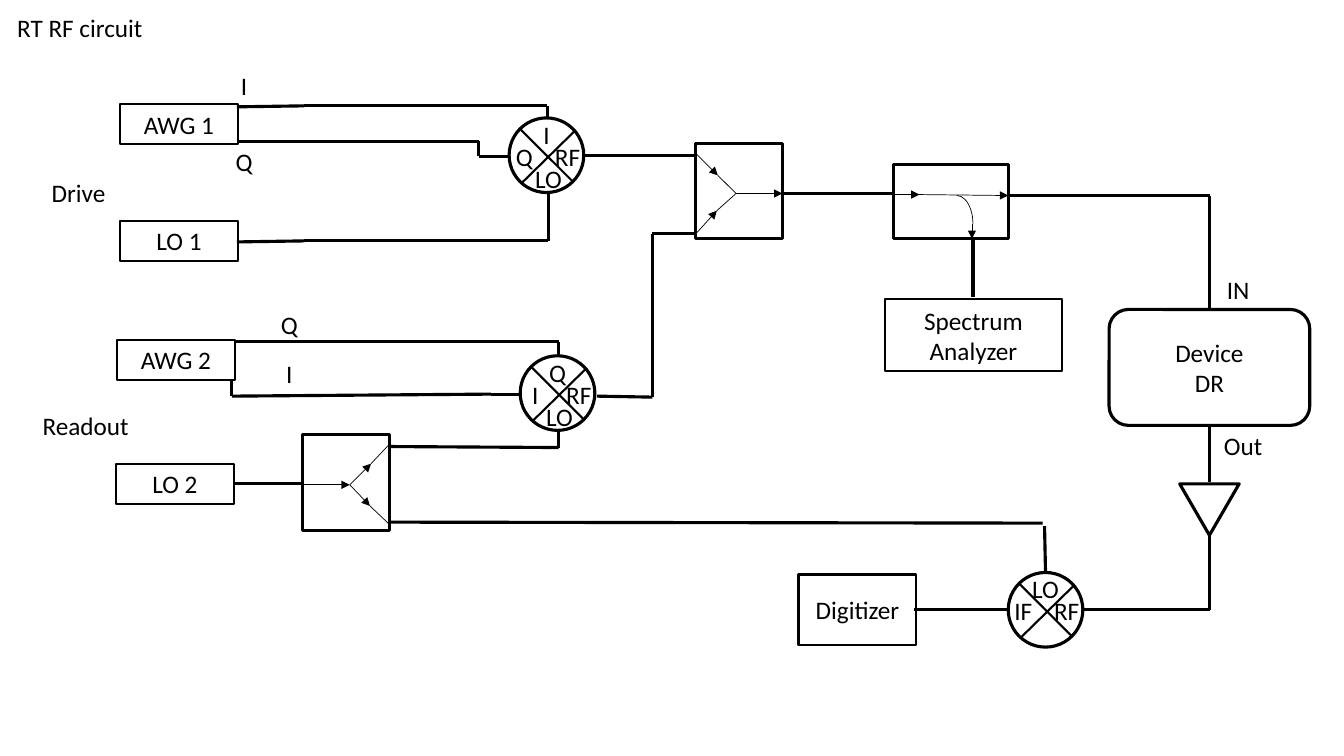
from dataclasses import dataclass
from itertools import pairwise

from lxml.etree import SubElement
from pptx import Presentation
from pptx.dml.color import RGBColor
from pptx.enum.shapes import MSO_CONNECTOR as Connector, MSO_SHAPE as Preset
from pptx.enum.text import MSO_ANCHOR as Anchor, MSO_AUTO_SIZE as AutoSize, PP_ALIGN as Align
from pptx.oxml.ns import qn
from pptx.util import Emu, Pt

PX = 9144  # 100 px to the inch


@dataclass(frozen=True)
class Theme:
    ink: RGBColor = RGBColor(0, 0, 0)
    paper: RGBColor = RGBColor(255, 255, 255)
    font: str = "Calibri"
    text: float = 18
    wire: float = 2.25
    outline: float = 1.5
    hairline: float = 0.5


@dataclass(frozen=True)
class Box:
    left: int
    top: int
    width: int
    height: int

    def inner(self, left, top, width, height):
        return Box(self.left + left, self.top + top, width, height)

    def point(self, x, y):
        return self.left + x, self.top + y

    def emu(self):
        return [px(value) for value in (self.left, self.top, self.width, self.height)]


THEME = Theme()


def px(value):
    return Emu(round(value * PX))


def set_values(target, values):
    for name, value in values.items():
        setattr(target, name, value)


# Basic parts
def write(shape, text, align=Align.CENTER, wrap=True):
    frame = shape.text_frame
    frame.text = text
    set_values(frame, {"word_wrap": wrap, "auto_size": AutoSize.NONE,
                       "vertical_anchor": Anchor.MIDDLE,
                       "margin_left": px(10), "margin_right": px(10),
                       "margin_top": px(5), "margin_bottom": px(5)})
    for paragraph in frame.paragraphs:
        set_values(paragraph, {"alignment": align, "line_spacing": 1.0,
                               "space_before": Pt(0)})
        set_values(paragraph.font, {"name": THEME.font, "size": Pt(THEME.text)})
        paragraph.font.color.rgb = THEME.ink


def draw_line(line, weight):
    line.width = Pt(weight)
    line.color.rgb = THEME.ink


def add_block(slide, box, preset=Preset.RECTANGLE, weight=THEME.wire, text="", filled=True):
    shape = slide.shapes.add_shape(preset, *box.emu())
    shape.shadow.inherit = False
    if filled:
        shape.fill.solid()
        shape.fill.fore_color.rgb = THEME.paper
    else:
        shape.fill.background()
    draw_line(shape.line, weight)
    if text:
        write(shape, text)
    return shape


def add_instrument(slide, box, text):
    add_block(slide, box, weight=THEME.outline, text=text, filled=False)


def add_label(slide, region, x, y, text):
    """Centre a label on a point of the region."""
    box = region.inner(x - 55, y - 20, 110, 40)
    write(slide.shapes.add_textbox(*box.emu()), text, wrap=False)


def add_route(slide, region, points, weight=THEME.wire, arrow=False):
    """Join the points with straight lines."""
    corners = [region.point(*point) for point in points]
    for start, end in pairwise(corners):
        connector = slide.shapes.add_connector(
            Connector.STRAIGHT, *[px(value) for value in start + end])
        draw_line(connector.line, weight)
        properties = connector.element.spPr
        if arrow:
            SubElement(properties.find(qn("a:ln")), qn("a:tailEnd"), type="triangle")
        SubElement(properties, qn("a:effectLst"))


def add_routes(slide, region, routes):
    for points in routes:
        add_route(slide, region, points)


# Circuit symbols
def add_mixer(slide, box, labels):
    """Labels run top, left, bottom, right."""
    add_block(slide, box, Preset.OVAL)
    for points in ([(66, 12), (13, 64)], [(11, 11), (63, 63)]):
        add_route(slide, box, points, THEME.outline)
    places = [(37, 16), (15, 38), (39, 60), (58, 38)]
    for place, text in zip(places, labels):
        if text:
            add_label(slide, box, *place, text)


def add_junction(slide, box, strokes):
    """Draw a box crossed by thin strokes, each with its arrow flag."""
    add_block(slide, box)
    for points, arrow in strokes:
        add_route(slide, box, points, THEME.hairline, arrow)


def add_combiner(slide, box):
    add_junction(slide, box, [
        ([(40, 50), (86, 50)], True),
        ([(1, 11), (22, 32)], True), ([(22, 32), (40, 50)], False),
        ([(1, 89), (21, 67)], True), ([(21, 67), (40, 50)], False)])


def add_splitter(slide, box):
    add_junction(slide, box, [
        ([(0, 50), (47, 50)], True),
        ([(47, 50), (68, 29)], True), ([(68, 29), (85, 11)], False),
        ([(47, 50), (67, 71)], True), ([(67, 71), (86, 89)], False)])


def add_coupler(slide, box):
    add_junction(slide, box, [
        ([(0, 30), (26, 30)], True), ([(23, 30), (114, 31)], True),
        ([(78, 59), (78, 74)], True)])
    add_block(slide, box.inner(47, 31, 32, 56), Preset.ARC, THEME.hairline, filled=False)


# Slide regions
def add_title(slide, box):
    title = slide.shapes.title
    set_values(title, dict(zip(("left", "top", "width", "height"), box.emu())))
    write(title, "RT RF circuit", Align.LEFT)


def add_drive(slide, region):
    add_routes(slide, region, [
        [(195, 41), (262, 40), (503, 40), (503, 52)],
        [(195, 75), (435, 75), (435, 90), (465, 90)],
        [(195, 175), (262, 174), (504, 174), (504, 126)]])
    add_instrument(slide, region.inner(79, 38, 117, 40), "AWG 1")
    add_instrument(slide, region.inner(79, 154, 117, 40), "LO 1")
    add_mixer(slide, region.inner(465, 52, 74, 74), ["I", "Q", "LO", "RF"])
    for x, y, text in [(202, 20, "I"), (202, 95, "Q"), (38, 126, "Drive")]:
        add_label(slide, region, x, y, text)


def add_readout(slide, region):
    add_routes(slide, region, [
        [(203, 39), (524, 39), (524, 53)],
        [(200, 77), (200, 93), (457, 91), (486, 91)],
        [(202, 180), (270, 180)],
        [(356, 143), (524, 144), (524, 128)],
        [(356, 218), (1004, 219)],
        [(1006, 222), (1007, 268)]])
    add_instrument(slide, region.inner(86, 37, 117, 40), "AWG 2")
    add_instrument(slide, region.inner(85, 160, 117, 40), "LO 2")
    add_mixer(slide, region.inner(486, 53, 74, 74), ["Q", "I", "LO", "RF"])
    add_splitter(slide, region.inner(270, 131, 86, 95))
    for x, y, text in [(257, 22, "Q"), (257, 71, "I"), (55, 122, "Readout")]:
        add_label(slide, region, x, y, text)


def add_combining(slide, region):
    add_routes(slide, region, [
        [(0, 12), (111, 12)],
        [(14, 251), (69, 252), (69, 90), (113, 90)],
        [(198, 50), (308, 50)],
        [(387, 94), (387, 153)]])
    add_combiner(slide, region.inner(112, 0, 86, 95))
    add_coupler(slide, region.inner(308, 21, 114, 74))
    add_instrument(slide, region.inner(300, 155, 175, 71), "Spectrum Analyzer")


def add_device_return(slide, region):
    add_routes(slide, region, [
        [(208, 0), (408, 0), (408, 114)],
        [(408, 228), (408, 284)],
        [(408, 336), (408, 411), (283, 411)],
        [(115, 411), (208, 411)]])
    add_block(slide, region.inner(308, 113, 199, 115), Preset.ROUNDED_RECTANGLE,
              text="Device\nDR")
    amplifier = add_block(slide, region.inner(378, 286, 59, 51), Preset.ISOSCELES_TRIANGLE)
    amplifier.rotation = 180
    add_mixer(slide, region.inner(208, 374, 74, 74), ["LO", "IF", "", "RF"])
    add_instrument(slide, region.inner(0, 376, 117, 70), "Digitizer")
    for x, y, text in [(436, 93, "IN"), (441, 248, "Out")]:
        add_label(slide, region, x, y, text)


def main():
    presentation = Presentation()
    set_values(presentation, {"slide_width": px(1333), "slide_height": px(750)})
    slide = presentation.slides.add_slide(presentation.slide_layouts[5])
    add_title(slide, Box(7, 7, 237, 40))
    add_drive(slide, Box(40, 65, 540, 195))
    add_readout(slide, Box(30, 300, 1007, 268))
    add_combining(slide, Box(578, 142, 475, 252))
    add_device_return(slide, Box(792, 194, 507, 448))
    presentation.save("out.pptx")


if __name__ == "__main__":
    main()
